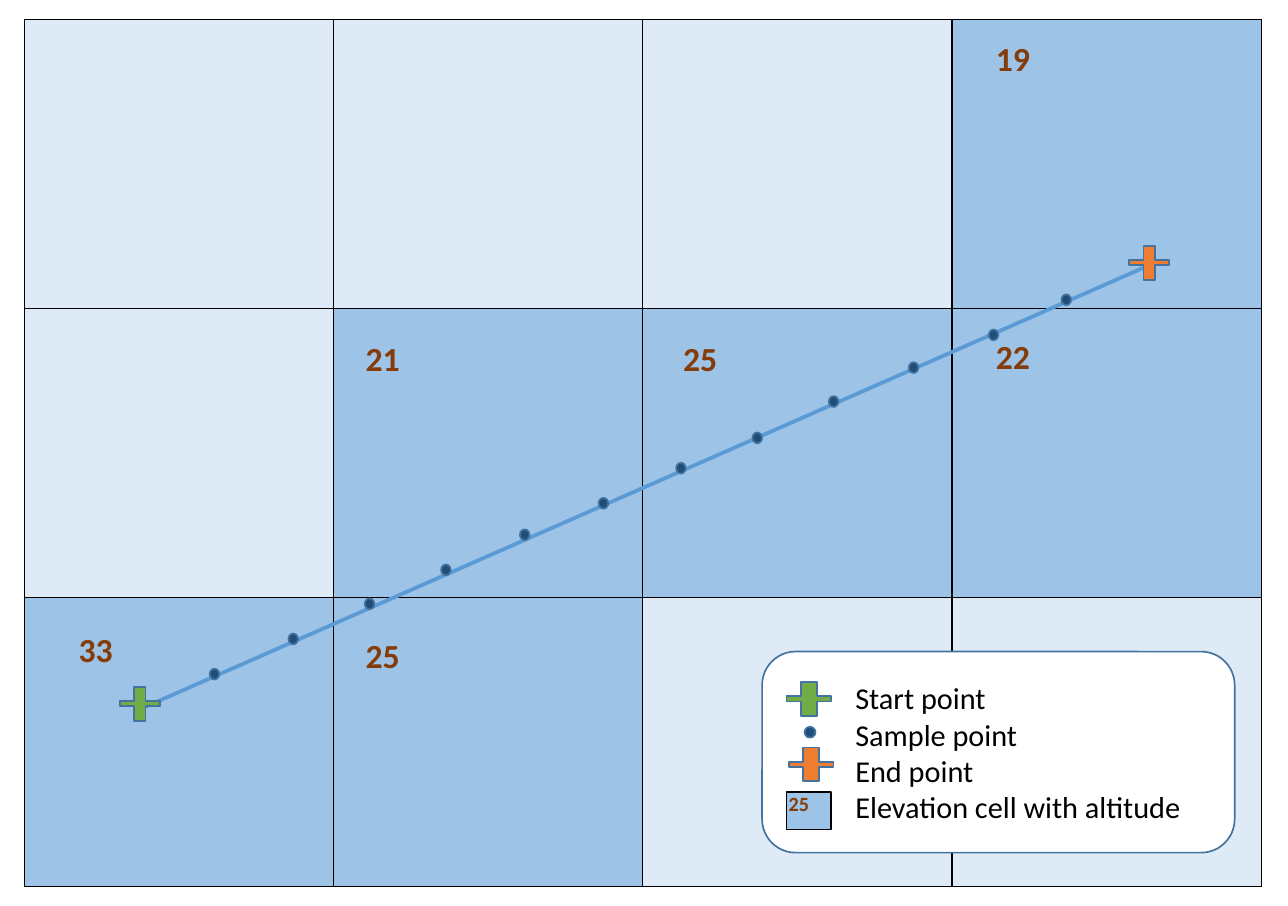
from dataclasses import dataclass

from lxml import etree
from pptx import Presentation
from pptx import util as u
from pptx.dml.color import RGBColor
from pptx.enum import shapes, text
from pptx.oxml import ns


@dataclass(frozen=True)
class Theme:
    font: str = "Calibri"
    altitude_size: int = 20
    legend_size: int = 18
    small_size: int = 12
    thin: float = 1
    thick: float = 2.25
    black: str = "000000"
    white: str = "FFFFFF"
    pale_cell: str = "DEEBF7"
    crossed_cell: str = "9DC3E6"
    path_line: str = "5B9BD5"
    outline: str = "43739E"
    sample: str = "1F4E79"
    start: str = "70AD47"
    end: str = "ED7D31"
    altitude: str = "843C0B"


def rgb(value):
    return RGBColor.from_string(value)


class ElevationSlide:
    def __init__(self, slide, theme):
        self.slide = slide
        self.theme = theme
        self.shapes = slide.shapes

    def start_group(self):
        """Place all later elements in a new group."""
        self.shapes = self.slide.shapes.add_group_shape().shapes

    def grid(self, left, top, width, height, crossed):
        """Draw one cell per flag; true flags mark cells the path crosses."""
        rows, columns = len(crossed), len(crossed[0])
        table = self.shapes.add_table(rows, columns, u.Inches(left), u.Inches(top),
                                      u.Inches(width), u.Inches(height)).table
        table.first_row = table.horz_banding = False
        for r, flags in enumerate(crossed):
            for c, flag in enumerate(flags):
                cell = table.cell(r, c)
                self.cell_borders(cell)
                cell.fill.solid()
                cell.fill.fore_color.rgb = rgb(
                    self.theme.crossed_cell if flag else self.theme.pale_cell)

    def cell_borders(self, cell):
        properties = cell._tc.get_or_add_tcPr()
        for side in ("a:lnL", "a:lnR", "a:lnT", "a:lnB"):
            border = etree.SubElement(properties, ns.qn(side), w=str(u.Pt(self.theme.thin)))
            fill = etree.SubElement(border, ns.qn("a:solidFill"))
            etree.SubElement(fill, ns.qn("a:srgbClr"), val=self.theme.black)

    def line(self, x1, y1, x2, y2):
        path = self.shapes.add_connector(shapes.MSO_CONNECTOR.STRAIGHT, u.Inches(x1),
                                         u.Inches(y1), u.Inches(x2), u.Inches(y2))
        path.line.color.rgb = rgb(self.theme.path_line)
        path.line.width = u.Pt(self.theme.thick)
        etree.SubElement(path._element.spPr, ns.qn("a:effectLst"))

    def shape(self, kind, left, top, width, height, fill, outline=None):
        shape = self.shapes.add_shape(kind, u.Inches(left), u.Inches(top),
                                      u.Inches(width), u.Inches(height))
        shape.shadow.inherit = False
        shape.fill.solid()
        shape.fill.fore_color.rgb = rgb(fill)
        shape.line.color.rgb = rgb(outline or self.theme.outline)
        shape.line.width = u.Pt(self.theme.thin)
        return shape

    def sample_point(self, left, top, width=0.08):
        self.shape(shapes.MSO_SHAPE.OVAL, left, top, width, 0.09, self.theme.sample)

    def cross(self, left, top, width, fill):
        cross = self.shape(shapes.MSO_SHAPE.CROSS, left, top, width, 0.28, fill)
        cross.adjustments[0] = 0.426

    def format(self, paragraph, size, color, bold=False):
        paragraph.alignment = text.PP_ALIGN.LEFT
        font = paragraph.font
        font.name, font.size, font.bold = self.theme.font, u.Pt(size), bold
        font.color.rgb = rgb(color)

    def altitude(self, value, left, top, size, width=0.54):
        box = self.shapes.add_textbox(u.Inches(left), u.Inches(top),
                                      u.Inches(width), u.Inches(0.39))
        box.text_frame.word_wrap = True
        box.text_frame.text = value
        self.format(box.text_frame.paragraphs[0], size, self.theme.altitude, bold=True)

    def legend_panel(self, left, top, width, height, entries):
        panel = self.shape(shapes.MSO_SHAPE.ROUNDED_RECTANGLE, left, top, width, height,
                           self.theme.white)
        frame = panel.text_frame
        frame.word_wrap = True
        frame.vertical_anchor = text.MSO_ANCHOR.MIDDLE
        frame.text = "\n".join(entries)
        for entry in frame.paragraphs:
            self.format(entry, self.theme.legend_size, self.theme.black)
            entry._p.get_or_add_pPr().set("marL", str(u.Inches(0.59)))


CROSSED = [(0, 0, 0, 1),
           (0, 1, 1, 1),
           (1, 1, 0, 0)]
SAMPLES = [(1.73, 5.52), (2.38, 5.23), (3.01, 4.94), (3.64, 4.66), (4.29, 4.37),
           (4.94, 4.11), (5.58, 3.82), (6.21, 3.57), (6.84, 3.27), (7.5, 2.99),
           (8.16, 2.72), (8.76, 2.43)]
ALTITUDES = [("33", 0.55, 5.14), ("21", 2.92, 2.74), ("25", 5.54, 2.74),
             ("19", 8.12, 0.26), ("22", 8.12, 2.72), ("25", 2.92, 5.19)]
LEGEND = ["Start point", "Sample point", "End point", "Elevation cell with altitude"]


def main():
    presentation = Presentation()
    presentation.slide_width, presentation.slide_height = u.Inches(10.63), u.Inches(7.48)
    theme = Theme()
    profile = ElevationSlide(
        presentation.slides.add_slide(presentation.slide_layouts[6]), theme)

    profile.grid(0.2, 0.16, 10.21, 7.16, CROSSED)
    profile.line(1.19, 5.84, 9.53, 2.17)
    for left, top in SAMPLES:
        profile.sample_point(left, top)
    profile.cross(0.99, 5.67, 0.33, theme.start)
    profile.cross(9.32, 2.03, 0.33, theme.end)
    for value, left, top in ALTITUDES:
        profile.altitude(value, left, top, theme.altitude_size)

    profile.start_group()
    profile.legend_panel(6.29, 5.38, 3.9, 1.66, LEGEND)
    profile.cross(6.49, 5.63, 0.37, theme.start)
    profile.sample_point(6.64, 6, width=0.09)
    profile.cross(6.51, 6.17, 0.37, theme.end)
    profile.shape(shapes.MSO_SHAPE.RECTANGLE, 6.49, 6.54, 0.37, 0.31,
                  theme.crossed_cell, theme.black)
    profile.altitude("25", 6.41, 6.48, theme.small_size, width=0.38)

    presentation.save("out.pptx")


if __name__ == "__main__":
    main()
